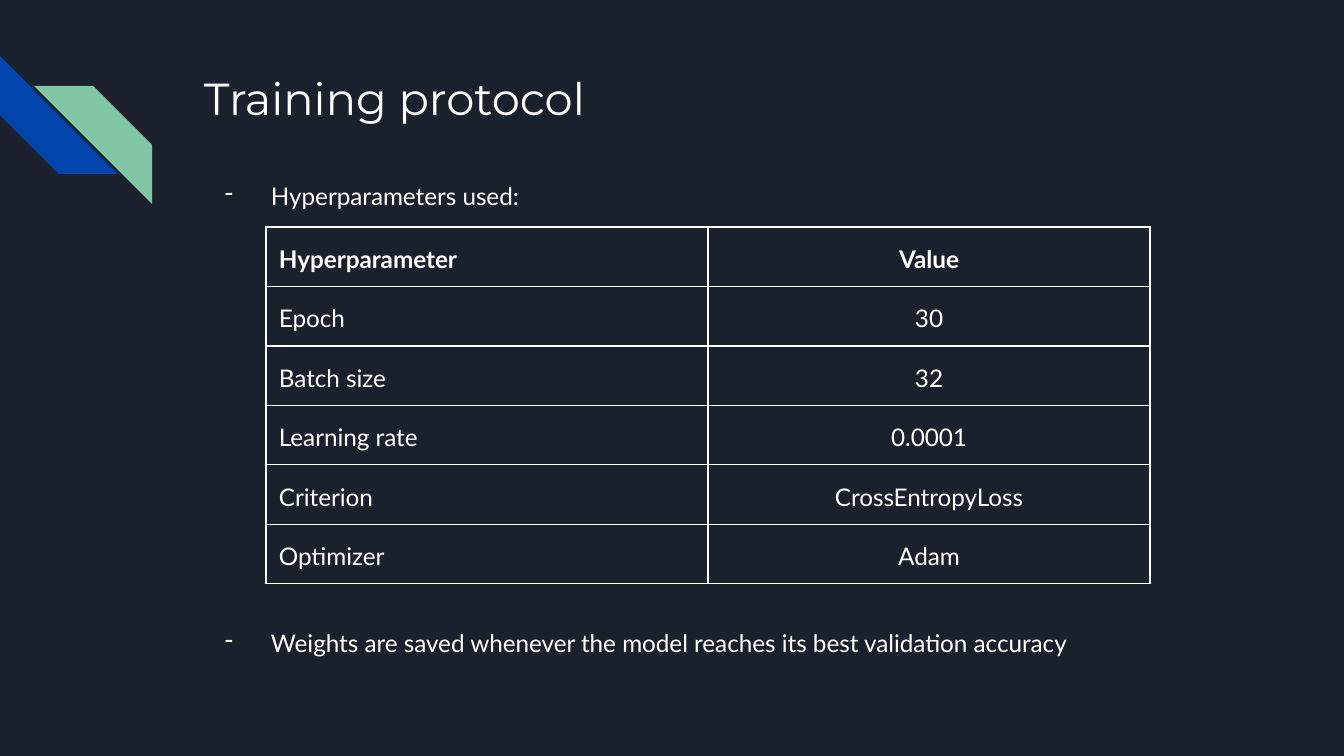
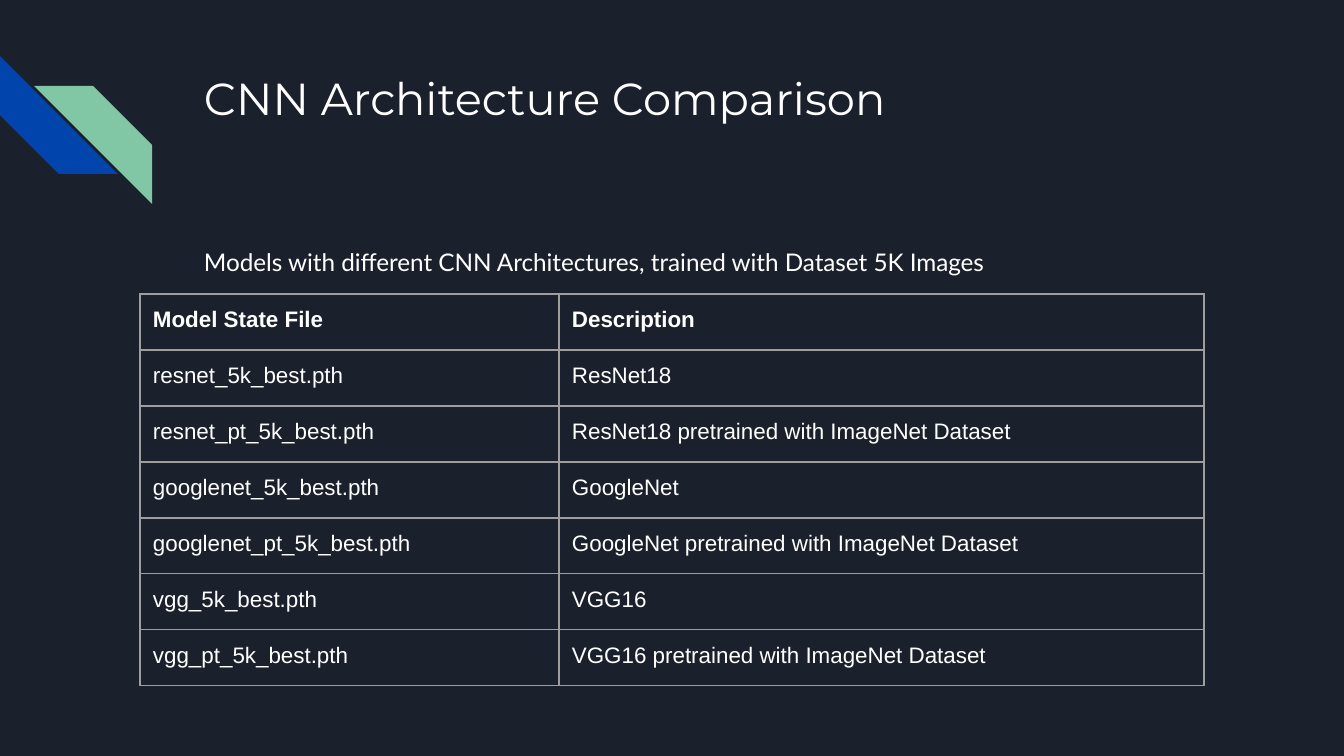
from lxml.etree import SubElement
from pptx import Presentation
from pptx.dml.color import RGBColor
from pptx.enum.shapes import MSO_SHAPE
from pptx.enum.text import MSO_ANCHOR, PP_ALIGN
from pptx.oxml import parse_xml
from pptx.oxml.ns import nsdecls, qn
from pptx.util import Emu, Pt

# Shared style
NAVY = RGBColor(0x1B, 0x21, 0x2C)
BLUE = RGBColor(0x01, 0x45, 0xAC)
GREEN = RGBColor(0x82, 0xC7, 0xA5)
WHITE = RGBColor(0xFF, 0xFF, 0xFF)
GREY = RGBColor(0x9E, 0x9E, 0x9E)

PX_PER_INCH = 134.4
SLIDE_WIDTH, SLIDE_HEIGHT = 1344, 756
TEXT_LEFT, TEXT_WIDTH = 191, 1035
STRIPE_SIZE = 118
INSET = 13
ROW_HEIGHT = 56


def px(length):
    return Emu(round(length * 914400 / PX_PER_INCH))


def write(para, text, *, font="Lato", size=13, color=WHITE, bold=False,
          align=PP_ALIGN.LEFT, spacing=None, before=0, after=0):
    """Put one formatted span of text into a paragraph."""
    para.alignment = align
    para.line_spacing = spacing
    para.space_before, para.space_after = Pt(before), Pt(after)
    span = para.add_run()
    span.text = text
    span.font.name, span.font.size = font, Pt(size)
    span.font.bold = bold
    span.font.color.rgb = color


def add_dash(para):
    """Give a paragraph a hanging white dash as its bullet."""
    properties = para._p.get_or_add_pPr()
    properties.set("marL", str(px(67)))
    properties.set("indent", str(-px(46)))
    color = SubElement(properties, qn("a:buClr"))
    SubElement(color, qn("a:srgbClr")).set("val", str(WHITE))
    SubElement(properties, qn("a:buChar")).set("char", "-")


def add_borders(cell, color):
    properties = cell._tc.get_or_add_tcPr()
    for index, side in enumerate(("lnL", "lnR", "lnT", "lnB")):
        properties.insert(index, parse_xml(
            f'<a:{side} {nsdecls("a")} w="{Pt(0.75)}"><a:solidFill>'
            f'<a:srgbClr val="{color}"/></a:solidFill></a:{side}>'))


def set_margins(holder):
    holder.margin_left = holder.margin_right = px(INSET)
    holder.margin_top = holder.margin_bottom = px(INSET)


class SlideBuilder:
    def __init__(self):
        self.deck = Presentation()
        self.deck.slide_width = px(SLIDE_WIDTH)
        self.deck.slide_height = px(SLIDE_HEIGHT)
        self.page = None

    def start_page(self, title):
        self.page = self.deck.slides.add_slide(self.deck.slide_layouts[6])
        fill = self.page.background.fill
        fill.solid()
        fill.fore_color.rgb = NAVY
        self.stripe(0, 56, BLUE, rotation=270)
        self.stripe(34, 86, GREEN, rotation=90)
        frame = self.text_frame(top=58, height=134)
        write(frame.paragraphs[0], title, font="Montserrat", size=24)

    def stripe(self, left, top, color, rotation):
        shape = self.page.shapes.add_shape(
            MSO_SHAPE.DIAGONAL_STRIPE, px(left), px(top),
            px(STRIPE_SIZE), px(STRIPE_SIZE))
        shape.rotation = rotation
        shape.shadow.inherit = False
        shape.fill.solid()
        shape.fill.fore_color.rgb = color
        shape.line.fill.background()

    def text_frame(self, top, height):
        box = self.page.shapes.add_textbox(
            px(TEXT_LEFT), px(top), px(TEXT_WIDTH), px(height))
        frame = box.text_frame
        frame.word_wrap = True
        frame.vertical_anchor = MSO_ANCHOR.TOP
        set_margins(frame)
        return frame

    def caption(self, text, top, height):
        frame = self.text_frame(top, height)
        write(frame.paragraphs[0], text, spacing=1.15, after=12)

    def bullets(self, items, top, height, gap):
        frame = self.text_frame(top, height)
        for index, text in enumerate(items):
            para = frame.add_paragraph() if index else frame.paragraphs[0]
            write(para, text, spacing=1.15, before=gap if index else 0)
            add_dash(para)

    def table(self, rows, left, top, widths, border, aligns, **text_format):
        table = self.page.shapes.add_table(
            len(rows), len(widths), px(left), px(top),
            px(sum(widths)), px(ROW_HEIGHT * len(rows))).table
        table.first_row = table.horz_banding = False
        for column, width in zip(table.columns, widths):
            column.width = px(width)
        for row_index, row in enumerate(rows):
            table.rows[row_index].height = px(ROW_HEIGHT)
            for column_index, text in enumerate(row):
                cell = table.cell(row_index, column_index)
                cell.fill.background()
                set_margins(cell)
                add_borders(cell, border)
                write(cell.text_frame.paragraphs[0], text,
                      bold=row_index == 0, align=aligns[column_index],
                      **text_format)


def main():
    builder = SlideBuilder()

    # Training protocol
    builder.start_page("Training protocol")
    builder.bullets(
        ["Hyperparameters used:",
         "Weights are saved whenever the model reaches its best validation accuracy"],
        top=164, height=517, gap=221.5)
    builder.table(
        [("Hyperparameter", "Value"),
         ("Epoch", "30"),
         ("Batch size", "32"),
         ("Learning rate", "0.0001"),
         ("Criterion", "CrossEntropyLoss"),
         ("Optimizer", "Adam")],
        left=266, top=227, widths=(442, 442), border=WHITE,
        aligns=(PP_ALIGN.LEFT, PP_ALIGN.CENTER), spacing=1.15, after=12)

    # Architecture comparison
    builder.start_page("CNN Architecture Comparison")
    builder.caption(
        "Models with different CNN Architectures, trained with Dataset 5K Images",
        top=230, height=427)
    models = [("Model State File", "Description")]
    for prefix, name in (("resnet", "ResNet18"), ("googlenet", "GoogleNet"),
                         ("vgg", "VGG16")):
        models += [
            (f"{prefix}_5k_best.pth", name),
            (f"{prefix}_pt_5k_best.pth", f"{name} pretrained with ImageNet Dataset")]
    builder.table(
        models, left=140, top=294, widths=(419, 645), border=GREY,
        aligns=(PP_ALIGN.LEFT, PP_ALIGN.LEFT), font="Arial", size=12)

    builder.deck.save("out.pptx")


if __name__ == "__main__":
    main()
